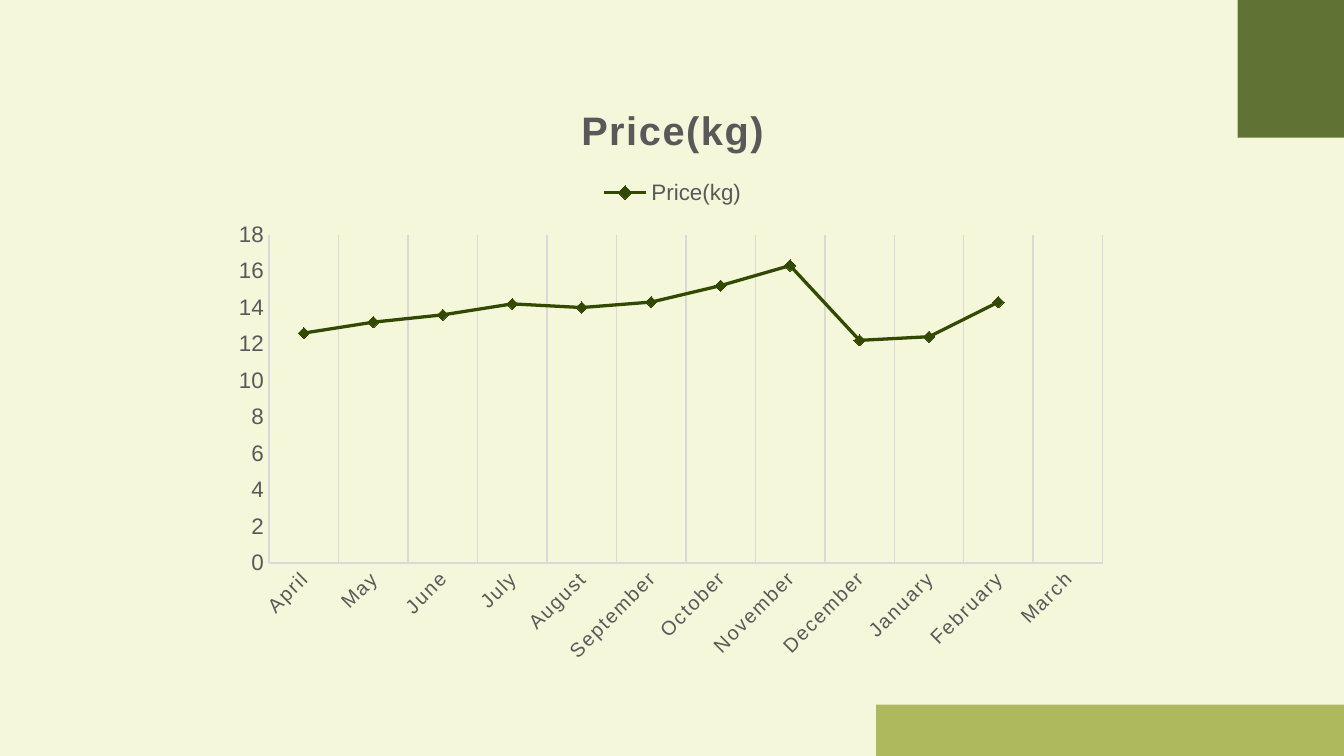
from typing import NamedTuple

import pptx
import pptx.chart.data
import pptx.dml.color
import pptx.enum.chart
import pptx.enum.shapes
import pptx.oxml
import pptx.oxml.ns
import pptx.util
from pptx.util import Cm

GREY, GRID, GREEN = "595959", "D9D9D9", "324A00"


class Block(NamedTuple):
    left: float
    top: float
    width: float
    height: float
    color: str
    opacity: int


BLOCKS = [
    Block(23.39, 0, 2.01, 2.6, GREEN, 76),
    Block(16.56, 13.31, 8.84, 0.97, "7C8C03", 58),
]

PRICES = {
    "April": 12.6, "May": 13.2, "June": 13.6, "July": 14.2,
    "August": 14, "September": 14.3, "October": 15.2, "November": 16.3,
    "December": 12.2, "January": 12.4, "February": 14.3, "March": None,
}


def rgb(color: str) -> pptx.dml.color.RGBColor:
    return pptx.dml.color.RGBColor.from_string(color)


def fill_solid(fill, color: str) -> None:
    fill.solid()
    fill.fore_color.rgb = rgb(color)


def format_line(line, color: str, width: float) -> None:
    fill_solid(line.fill, color)
    line.width = pptx.util.Pt(width)


def format_font(font, size: float, bold: bool = False) -> None:
    font.name, font.size, font.bold = "Arial", pptx.util.Pt(size), bold
    font.color.rgb = rgb(GREY)


def draw_block(slide, block: Block) -> None:
    s = slide.shapes.add_shape(
        pptx.enum.shapes.MSO_SHAPE.RECTANGLE,
        Cm(block.left), Cm(block.top), Cm(block.width), Cm(block.height))
    s.shadow.inherit = False
    s.line.fill.background()
    fill_solid(s.fill, block.color)
    clr = s.element.xpath("./p:spPr/a:solidFill/a:srgbClr")[0]
    alpha = pptx.oxml.parse_xml(
        f'<a:alpha {pptx.oxml.ns.nsdecls("a")} val="{block.opacity * 1000}"/>')
    clr.append(alpha)


def place_plot(chart, x: float, y: float, w: float, h: float) -> None:
    """Set the inner plot area as fractions of the chart."""
    area = chart.element.xpath("./c:chart/c:plotArea")[0]
    for old in area.xpath("./c:layout"):
        area.remove(old)
    area.insert(0, pptx.oxml.parse_xml(
        f'<c:layout {pptx.oxml.ns.nsdecls("c")}><c:manualLayout>'
        '<c:layoutTarget val="inner"/><c:xMode val="edge"/><c:yMode val="edge"/>'
        f'<c:x val="{x}"/><c:y val="{y}"/><c:w val="{w}"/><c:h val="{h}"/>'
        '</c:manualLayout></c:layout>'))


def format_axis(axis, size: float) -> None:
    none = pptx.enum.chart.XL_TICK_MARK.NONE
    axis.major_tick_mark = axis.minor_tick_mark = none
    format_line(axis.format.line, GRID, 0.75)
    format_font(axis.tick_labels.font, size)


def draw_price_chart(slide) -> None:
    data = pptx.chart.data.CategoryChartData()
    data.categories = list(PRICES)
    data.add_series("Price(kg)", list(PRICES.values()))
    chart = slide.shapes.add_chart(
        pptx.enum.chart.XL_CHART_TYPE.LINE_MARKERS,
        Cm(4.24), Cm(1.5), Cm(16.94), Cm(11.28), data).chart
    chart.font.name, chart.font.size = "Arial", pptx.util.Pt(10)
    place_plot(chart, 0.05, 0.26, 0.93, 0.55)

    chart.has_title = True
    p = chart.chart_title.text_frame.paragraphs[0]
    r = p.add_run()
    r.text = "Price(kg)"
    format_font(r.font, 21.3, bold=True)

    chart.has_legend = True
    chart.legend.position = pptx.enum.chart.XL_LEGEND_POSITION.TOP
    chart.legend.include_in_layout = False
    format_font(chart.legend.font, 12)

    months, prices = chart.category_axis, chart.value_axis
    format_axis(months, 10.6)
    months.has_major_gridlines = True
    format_line(months.major_gridlines.format.line, GRID, 0.75)
    format_axis(prices, 12)
    prices.has_major_gridlines = False
    prices.minimum_scale, prices.maximum_scale, prices.major_unit = 0, 18, 2

    # Slanted month names, with letter spacing there and in the title
    chart.element.xpath(".//c:catAx/c:txPr/a:bodyPr")[0].set("rot", "-2700000")
    for props in chart.element.xpath(".//c:catAx/c:txPr//a:defRPr | .//c:title//a:rPr"):
        props.set("spc", "100")

    plot = chart.plots[0]
    plot.vary_by_categories = False
    series = plot.series[0]
    series.smooth = False
    format_line(series.format.line, GREEN, 1.75)
    marker = series.marker
    marker.style, marker.size = pptx.enum.chart.XL_MARKER_STYLE.DIAMOND, 6
    fill_solid(marker.format.fill, GREEN)
    format_line(marker.format.line, GREEN, 0.75)


def main() -> None:
    prs = pptx.Presentation()
    prs.slide_width, prs.slide_height = Cm(25.4), Cm(14.28)
    slide = prs.slides.add_slide(prs.slide_layouts.get_by_name("Blank"))
    fill_solid(slide.background.fill, "F4F7DA")
    for block in BLOCKS:
        draw_block(slide, block)
    draw_price_chart(slide)
    prs.save("out.pptx")


if __name__ == "__main__":
    main()
